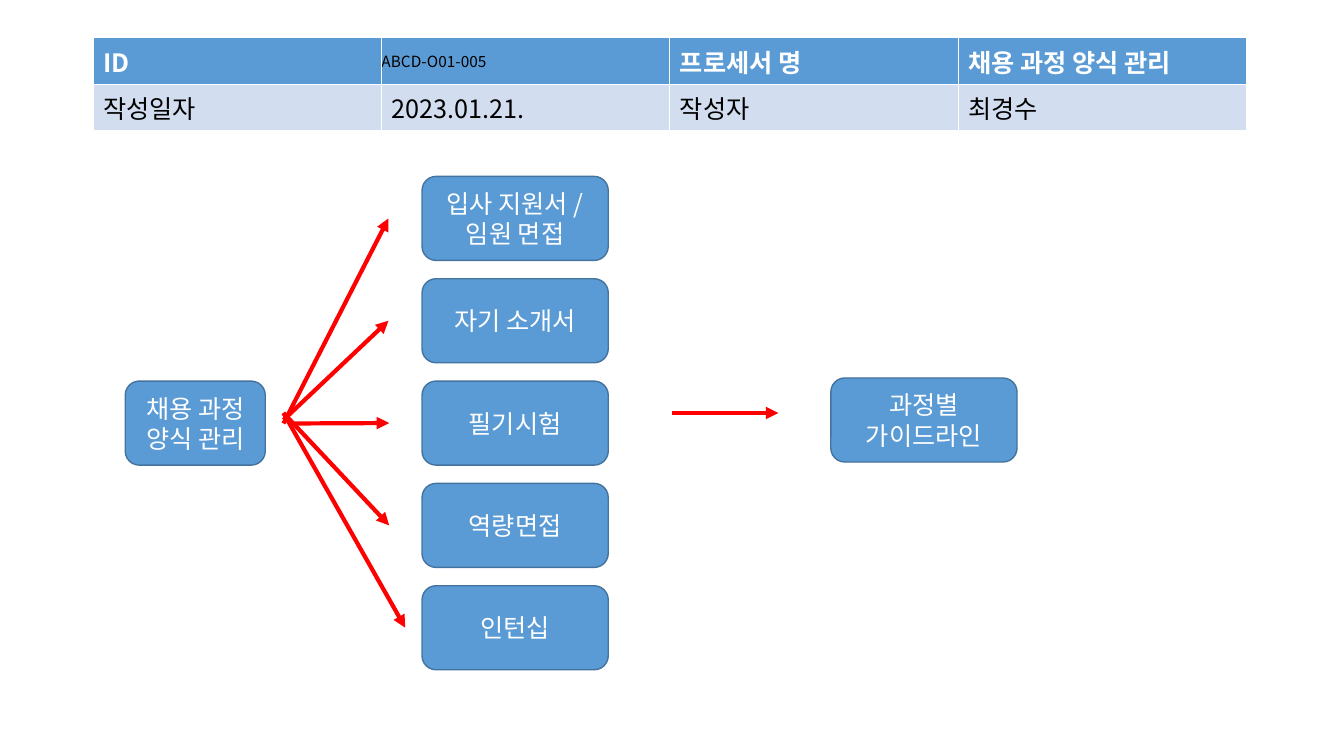
from dataclasses import dataclass

from lxml import etree
from pptx import Presentation
from pptx import util as u
from pptx.dml.color import RGBColor
from pptx.enum import shapes, text
from pptx.oxml.ns import qn

FONT = "Noto Sans CJK KR"
BLUE, EDGE, PALE = "5B9BD5", "43739E", "D2DEEF"
RED, WHITE, BLACK = "FF0000", "FFFFFF", "000000"
BOX_HEIGHT = 60


@dataclass
class Step:
    label: str
    left: float
    top: float
    width: float = 133


@dataclass
class Arrow:
    start_x: float
    start_y: float
    end_x: float
    end_y: float


def color(value: str) -> RGBColor:
    return RGBColor.from_string(value)


def style_text(para, size: float, fill: str, bold: bool = False) -> None:
    for span in para.runs:
        span.font.name = FONT
        span.font.size = u.Pt(size)
        span.font.bold = bold
        span.font.color.rgb = color(fill)
        latin = span.font._element.find(qn("a:latin"))
        latin.addnext(latin.makeelement(qn("a:ea"), {"typeface": FONT}))


def border_cell(cell) -> None:
    properties = cell._tc.get_or_add_tcPr()
    for side in ("a:lnL", "a:lnR", "a:lnT", "a:lnB"):
        line = etree.SubElement(properties, qn(side), w=str(u.Pt(1)))
        fill = etree.SubElement(line, qn("a:solidFill"))
        etree.SubElement(fill, qn("a:srgbClr"), val=WHITE)


def draw_step(page, step: Step) -> None:
    box = page.shapes.add_shape(
        shapes.MSO_SHAPE.ROUNDED_RECTANGLE,
        u.Pt(step.left), u.Pt(step.top), u.Pt(step.width), u.Pt(BOX_HEIGHT))
    box.shadow.inherit = False
    box.fill.solid()
    box.fill.fore_color.rgb = color(BLUE)
    box.line.color.rgb = color(EDGE)
    box.line.width = u.Pt(1)
    frame = box.text_frame
    frame.word_wrap = True
    frame.vertical_anchor = text.MSO_ANCHOR.MIDDLE
    frame.text = step.label
    for para in frame.paragraphs:
        para.alignment = text.PP_ALIGN.CENTER
        style_text(para, 18, WHITE)


def draw_arrow(page, arrow: Arrow) -> None:
    connector = page.shapes.add_connector(
        shapes.MSO_CONNECTOR.STRAIGHT,
        u.Pt(arrow.start_x), u.Pt(arrow.start_y),
        u.Pt(arrow.end_x), u.Pt(arrow.end_y))
    connector.line.color.rgb = color(RED)
    connector.line.width = u.Pt(3)
    line = connector.line._get_or_add_ln()
    etree.SubElement(line, qn("a:tailEnd"), type="triangle")
    etree.SubElement(connector._element.spPr, qn("a:effectLst"))


def draw_header(page, rows: list[list[str]]) -> None:
    table = page.shapes.add_table(
        len(rows), len(rows[0]),
        u.Pt(66.5), u.Pt(27), u.Pt(824), u.Pt(60.5)).table
    table.rows[0].height, table.rows[1].height = u.Pt(31), u.Pt(29.5)
    for row, labels in enumerate(rows):
        for column, label in enumerate(labels):
            cell = table.cell(row, column)
            border_cell(cell)
            cell.fill.solid()
            cell.fill.fore_color.rgb = color(PALE if row else BLUE)
            cell.text_frame.text = label
            style_text(cell.text_frame.paragraphs[0], 18,
                       BLACK if row else WHITE, bold=row == 0)

    # The document number is small, plain and without margins
    number = table.cell(0, 1)
    number.vertical_anchor = text.MSO_ANCHOR.MIDDLE
    number.margin_left = number.margin_right = 0
    number.margin_top = number.margin_bottom = 0
    span = number.text_frame.paragraphs[0].runs[0]
    span.font.size = u.Pt(11)
    span.font.bold = False
    span.font.color.rgb = color(BLACK)


deck = Presentation()
deck.slide_width, deck.slide_height = u.Pt(960), u.Pt(540)
page = deck.slides.add_slide(deck.slide_layouts[6])

# Document header
draw_header(page, [
    ["ID", "ABCD-O01-005", "프로세서 명", "채용 과정 양식 관리"],
    ["작성일자", "2023.01.21.", "작성자", "최경수"],
])

# Recruitment forms, evenly stacked, each with an arrow to its middle
FORM_TOP, FORM_PITCH = 126, 73.1
forms = ["입사 지원서 /\n임원 면접", "자기 소개서", "필기시험", "역량면접", "인턴십"]
arrow_starts = [(202.5, 302.5), (202.5, 300), (209.5, 302.5), (202.5, 295), (202.5, 295)]
arrow_ends = [277.5, 277.5, 278, 278, 289.5]
for index, (label, start, end_x) in enumerate(zip(forms, arrow_starts, arrow_ends)):
    top = FORM_TOP + index * FORM_PITCH
    draw_arrow(page, Arrow(*start, end_x, top + BOX_HEIGHT / 2))
    draw_step(page, Step(label, 301.5, top))

# Starting process and resulting guideline
draw_step(page, Step("채용 과정\n양식 관리", 89.5, 272.2, 100))
draw_arrow(page, Arrow(480, 295, 556, 295))
draw_step(page, Step("과정별 가이드라인", 593.5, 270))

deck.save("out.pptx")
